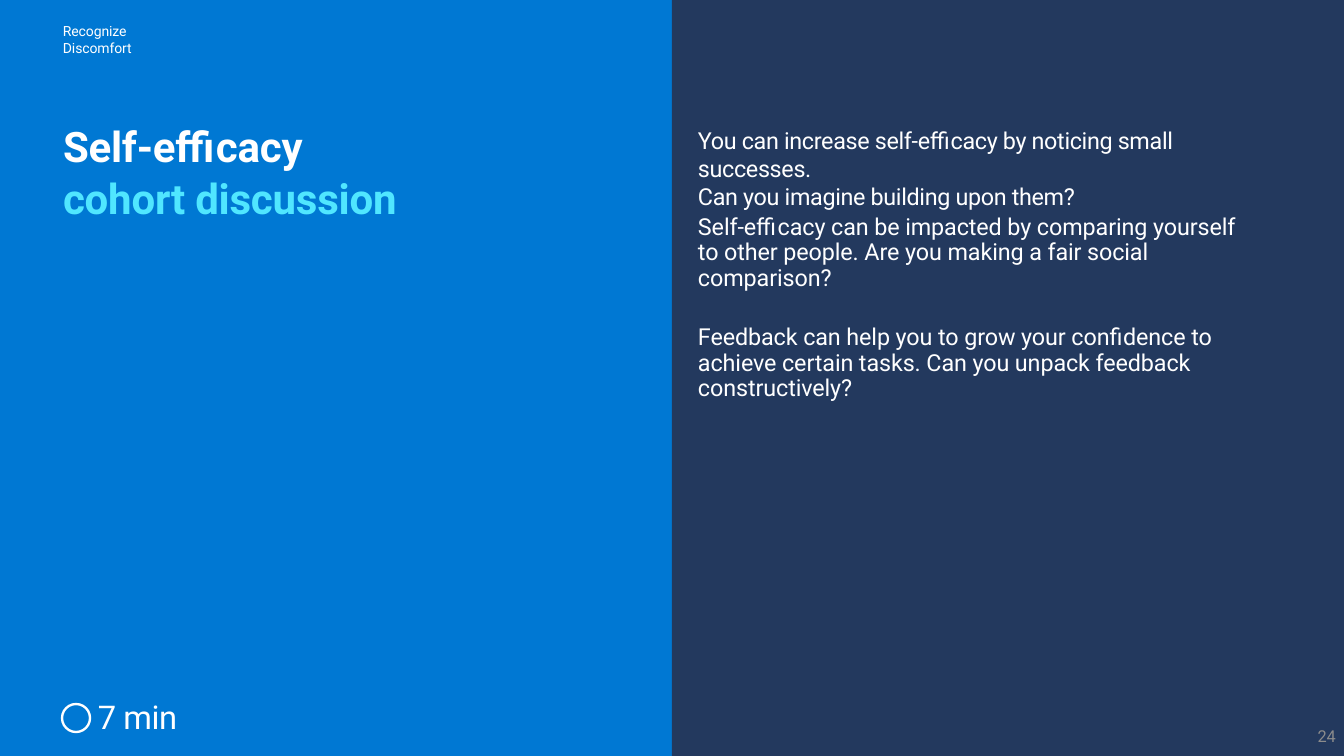
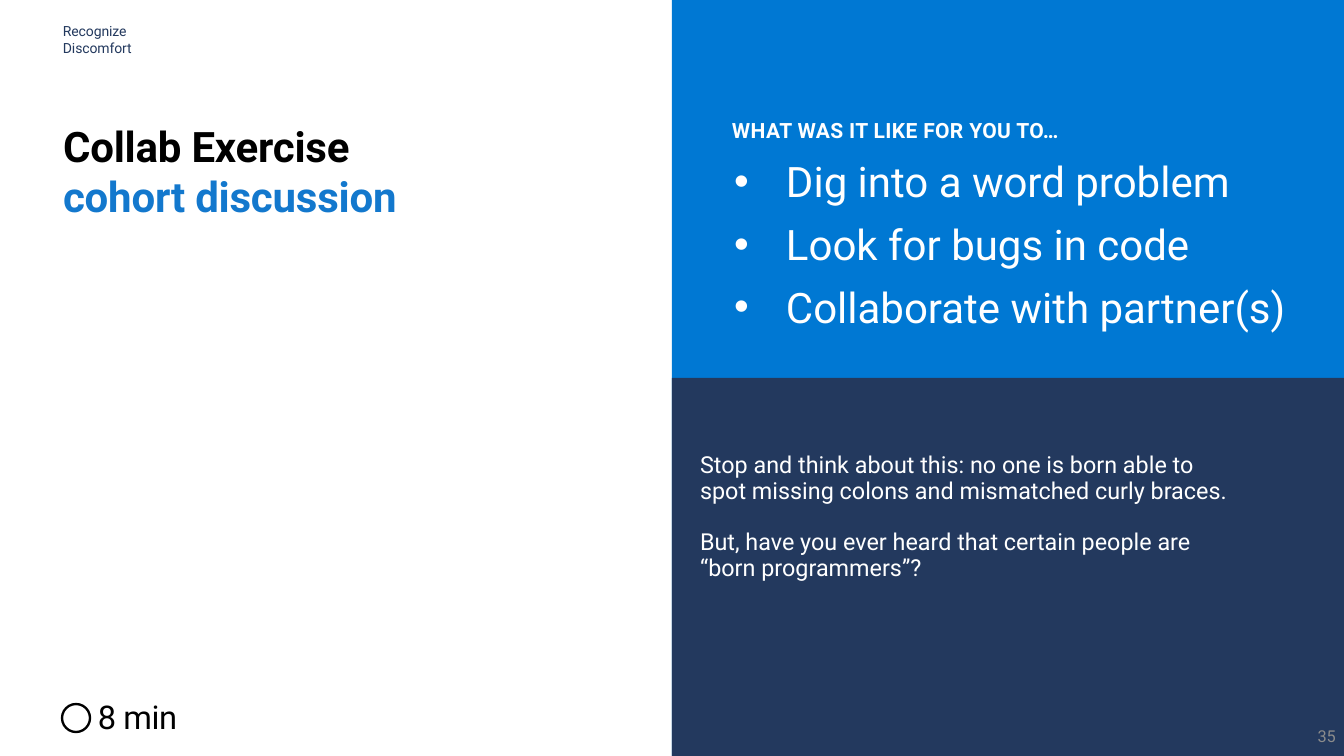
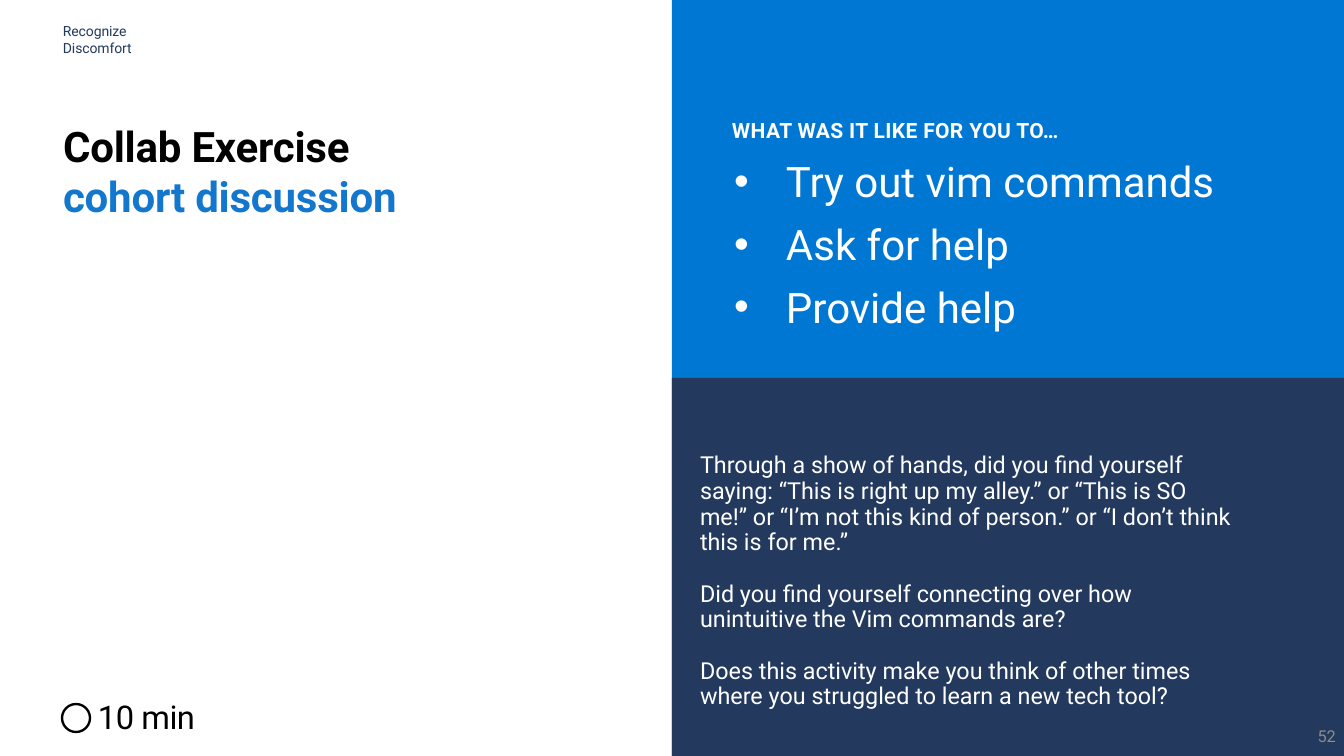
import pptx
import pptx.dml.color
import pptx.enum.shapes
import pptx.enum.text
import pptx.util
import lxml.etree

BLUE, NAVY, WHITE, BLACK = "0078D3", "23395E", "FFFFFF", "000000"
CYAN, LINK_BLUE, GREY = "50E6FF", "1378CD", "8C8C8C"
FONT = "Roboto"
W, H = 1344, 756
HALF_W, HALF_H = W // 2, H // 2
SCALE = 914400 / 84

# Boxes are left, top, width, height in px
TAG_BOX = (63, 23, 134, 38)
TITLE_BOX = (63, 127, 560, 98)
MINUTES_BOX = (98, 697, 144, 42)
CLOCK_BOX = (62, 704, 28, 28)
NUMBER_BOX = (1236, 716, 100, 40)
TALK_BOX = (698, 126, 552, 280)
PROMPT_BOX = (732, 118, 585, 220)
NOTE_BOX = (700, 453, 534, 260)

TAG = {"size": 12, "spc": -0.1}
TITLE = {"size": 36, "bold": True, "spc": -0.2, "line": 38}
MINUTES = {"size": 28, "spc": -0.4}
NUMBER = {"size": 14, "align": "RIGHT"}
OPENING = {"size": 20, "spc": -0.3}
TALK = {"size": 20, "spc": -0.1, "line": 22, "before": 3.4}
TALK_LAST = {**TALK, "before": 28.8}
PROMPT = {"size": 18, "bold": True, "spc": 0.3}
BULLET = {"size": 36, "line": 1.11, "before": 5.9, "bullet": "•"}
NOTE = {"size": 20, "line": 22, "before": 22}

FULL_LEFT = (0, 0, HALF_W, H)
FULL_RIGHT = (HALF_W, 0, HALF_W, H)
LOWER_RIGHT = (HALF_W, HALF_H, HALF_W, HALF_H)

DARK = {"panels": [(FULL_LEFT, BLUE), (FULL_RIGHT, NAVY)],
        "tag": WHITE, "text": WHITE, "accent": CYAN, "title_gap": 6.6}
LIGHT = {"panels": [(FULL_RIGHT, BLUE), (LOWER_RIGHT, NAVY)],
         "tag": NAVY, "text": BLACK, "accent": LINK_BLUE, "title_gap": 4.2}

PROMPT_TEXT = "WHAT WAS IT LIKE FOR YOU TO…"
SLIDES = [
    {"theme": DARK, "title": "Self-efficacy", "minutes": 7, "number": 24,
     "body_box": TALK_BOX,
     "body": [
         ("You can increase self-efficacy by noticing small successes.", OPENING),
         ("Can you imagine building upon them?", OPENING),
         ("Self-efficacy can be impacted by comparing yourself to other people. "
          "Are you making a fair social comparison?", TALK),
         ("Feedback can help you to grow your confidence to achieve certain tasks. "
          "Can you unpack feedback constructively?", TALK_LAST)],
     "notes": []},
    {"theme": LIGHT, "title": "Collab Exercise", "minutes": 8, "number": 35,
     "body_box": PROMPT_BOX,
     "body": [
         (PROMPT_TEXT, PROMPT),
         ("Dig into a word problem", BULLET),
         ("Look for bugs in code", BULLET),
         ("Collaborate with partner(s)", BULLET)],
     "notes": [
         "Stop and think about this: no one is born able to spot missing colons "
         "and mismatched curly braces.",
         "But, have you ever heard that certain people are “born programmers”?"]},
    {"theme": LIGHT, "title": "Collab Exercise", "minutes": 10, "number": 52,
     "body_box": PROMPT_BOX,
     "body": [
         (PROMPT_TEXT, PROMPT),
         ("Try out vim commands", BULLET),
         ("Ask for help", BULLET),
         ("Provide help", BULLET)],
     "notes": [
         "Through a show of hands, did you find yourself saying: “This is right up "
         "my alley.” or “This is SO me!” or “I’m not this kind of person.” or "
         "“I don’t think this is for me.”",
         "Did you find yourself connecting over how unintuitive the Vim commands are?",
         "Does this activity make you think of other times where you struggled to "
         "learn a new tech tool?"]},
]


def px(n):
    return pptx.util.Emu(round(n * SCALE))


def rgb(value):
    return pptx.dml.color.RGBColor.from_string(value)


def place(sp, box):
    for name, n in zip(("left", "top", "width", "height"), box):
        setattr(sp, name, px(n))


def set_bullet(p, char):
    """Give the paragraph a hanging bullet, or clear the inherited one."""
    pPr = p._p.get_or_add_pPr()
    pPr.set("marL", str(px(54) if char else 0))
    pPr.set("indent", str(px(-52) if char else 0))
    tag = pptx.oxml.ns.qn("a:buChar" if char else "a:buNone")
    bullet = lxml.etree.SubElement(pPr, tag)
    if char:
        bullet.set("char", char)


def write(sp, box, paragraphs, anchor="TOP"):
    """Place a text shape and fill it with (text, style, colour) paragraphs."""
    place(sp, box)
    tf = sp.text_frame
    frame = {"word_wrap": True, "auto_size": pptx.enum.text.MSO_AUTO_SIZE.NONE,
             "vertical_anchor": getattr(pptx.enum.text.MSO_ANCHOR, anchor),
             "margin_left": 0, "margin_top": 0, "margin_right": 0, "margin_bottom": 0}
    for name, value in frame.items():
        setattr(tf, name, value)
    for i, (text, style, color) in enumerate(paragraphs):
        p = tf.add_paragraph() if i else tf.paragraphs[0]
        set_bullet(p, style.get("bullet"))
        line = style.get("line", 1.0)
        layout = {
            "alignment": getattr(pptx.enum.text.PP_ALIGN, style.get("align", "LEFT")),
            "line_spacing": pptx.util.Pt(line) if line > 3 else line,
            "space_before": pptx.util.Pt(style.get("before", 0) if i else 0),
            "space_after": pptx.util.Pt(0)}
        for name, value in layout.items():
            setattr(p, name, value)
        r = p.add_run()
        r.text = text
        font = {"name": FONT, "size": pptx.util.Pt(style["size"]),
                "bold": style.get("bold", False)}
        for name, value in font.items():
            setattr(r.font, name, value)
        r.font.color.rgb = rgb(color)
        r._r.get_or_add_rPr().set("spc", str(round(style.get("spc", 0) * 100)))


def add_text(s, box, paragraphs, anchor="TOP"):
    write(s.shapes.add_textbox(0, 0, 0, 0), box, paragraphs, anchor)


def add_panel(s, box, color):
    sp = s.shapes.add_shape(pptx.enum.shapes.MSO_SHAPE.RECTANGLE, *map(px, box))
    sp.shadow.inherit = False
    sp.fill.solid()
    sp.fill.fore_color.rgb = rgb(color)
    sp.line.fill.background()
    # Panels lie behind the placeholders
    return sp


def add_clock(s, color):
    sp = s.shapes.add_shape(pptx.enum.shapes.MSO_SHAPE.OVAL, *map(px, CLOCK_BOX))
    sp.shadow.inherit = False
    sp.fill.background()
    sp.line.color.rgb = rgb(color)
    sp.line.width = pptx.util.Pt(2)


def build_slide(prs, data):
    theme = data["theme"]
    s = prs.slides.add_slide(prs.slide_layouts[1])
    title, body = s.shapes.title, s.placeholders[1]
    for box, color in theme["panels"]:
        title._element.addprevious(add_panel(s, box, color)._element)
    title_style = {**TITLE, "before": theme["title_gap"]}
    write(title, TITLE_BOX, [(data["title"], title_style, theme["text"]),
                             ("cohort discussion", title_style, theme["accent"])])
    write(body, data["body_box"], [(t, style, WHITE) for t, style in data["body"]])
    add_text(s, TAG_BOX, [(t, TAG, theme["tag"]) for t in ("Recognize", "Discomfort")])
    add_clock(s, theme["text"])
    add_text(s, MINUTES_BOX, [(f"{data['minutes']} min", MINUTES, theme["text"])])
    if data["notes"]:
        add_text(s, NOTE_BOX, [(t, NOTE, WHITE) for t in data["notes"]])
    add_text(s, NUMBER_BOX, [(str(data["number"]), NUMBER, GREY)], "MIDDLE")


def main():
    prs = pptx.Presentation()
    prs.slide_width, prs.slide_height = px(W), px(H)
    for data in SLIDES:
        build_slide(prs, data)
    prs.save("out.pptx")


if __name__ == "__main__":
    main()
